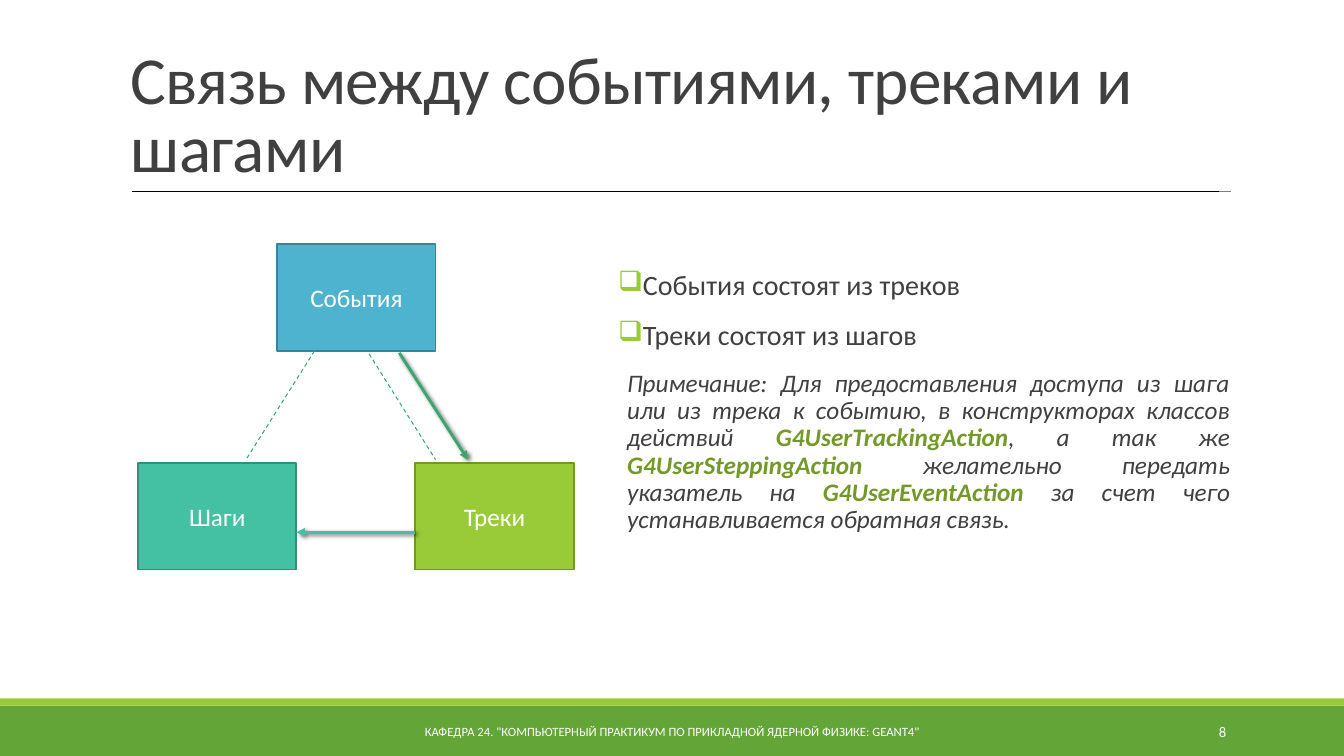
from lxml.etree import SubElement
from pptx import Presentation
from pptx.dml.color import RGBColor
from pptx.enum.dml import MSO_LINE
from pptx.enum.shapes import MSO_CONNECTOR, MSO_SHAPE
from pptx.enum.text import MSO_ANCHOR as Anchor, PP_ALIGN as Align
from pptx.oxml.ns import qn
from pptx.util import Inches, Pt

COLORS = {
    "white": "FFFFFF", "text": "404040", "black": "000000", "gray": "808080",
    "footer": "63A537", "lime": "99CB38", "lime_edge": "719629", "code": "739A28",
    "blue": "4EB3CF", "blue_edge": "3A8499",
    "teal": "44C1A3", "teal_edge": "328F79", "link": "37A76F",
}
FONT = "Calibri"

TITLE = "Связь между событиями, треками и шагами"
FOOTER = 'КАФЕДРА 24. "КОМПЬЮТЕРНЫЙ ПРАКТИКУМ ПО ПРИКЛАДНОЙ ЯДЕРНОЙ ФИЗИКЕ: GEANT4"'
PAGE_NUMBER = "8"
BULLETS = ["События состоят из треков", "Треки состоят из шагов"]
# (text, is a class name)
NOTE = [
    ("Примечание: Для предоставления доступа из шага или из трека к событию, "
     "в конструкторах классов действий ", False),
    ("G4UserTrackingAction", True),
    (", а так же ", False),
    ("G4UserSteppingAction", True),
    (" желательно передать указатель на ", False),
    ("G4UserEventAction ", True),
    ("за счет чего устанавливается обратная связь.", False),
]

# left, top, width, height, fill
BANDS = [(0, 7, 13.33, 0.5, "footer"), (0, 6.93, 13.33, 0.07, "lime")]
# start, end, color, width
RULES = [((1.31, 1.9), (12.21, 1.9), "gray", 0.5),
         ((1.31, 1.9), (12.09, 1.9), "black", 1)]
NODE_WIDTH, NODE_HEIGHT = 1.57, 1.06
# label, left, top, color
NODES = [("События", 2.75, 2.42, "blue"),
         ("Треки", 4.12, 4.59, "lime"),
         ("Шаги", 1.37, 4.59, "teal")]
# start, end, color
ARROWS = [((4.12, 5.28), (2.94, 5.28), "teal"),
          ((3.96, 3.5), (4.64, 4.56), "link")]
DASHES = [((3.12, 3.48), (2.44, 4.56), "link"),
          ((3.66, 3.51), (4.32, 4.56), "link")]


def rgb(name):
    return RGBColor.from_string(COLORS[name])


def style(font, size, color):
    font.name, font.size = FONT, Pt(size)
    font.color.rgb = rgb(color)


def add_rect(page, left, top, width, height, fill, edge=None):
    shape = page.shapes.add_shape(MSO_SHAPE.RECTANGLE, *map(Inches, (left, top, width, height)))
    shape.shadow.inherit = False
    shape.fill.solid()
    shape.fill.fore_color.rgb = rgb(fill)
    if edge:
        shape.line.color.rgb = rgb(edge)
        shape.line.width = Pt(1.25)
    else:
        shape.line.fill.background()
    return shape


def add_line(page, start, end, color, width, dashed=False, arrow=False):
    line = page.shapes.add_connector(MSO_CONNECTOR.STRAIGHT, *map(Inches, start + end))
    line.line.color.rgb = rgb(color)
    line.line.width = Pt(width)
    if dashed:
        line.line.dash_style = MSO_LINE.DASH
    properties = line._element.spPr
    effects = SubElement(properties, qn("a:effectLst"))
    if arrow:
        SubElement(properties.find(qn("a:ln")), qn("a:tailEnd"), type="triangle")
        shadow = SubElement(effects, qn("a:outerShdw"), blurRad=str(Pt(3)),
                            dist=str(Pt(2)), dir=str(45 * 60000), rotWithShape="0")
        shade = SubElement(shadow, qn("a:srgbClr"), val=COLORS["black"])
        SubElement(shade, qn("a:alpha"), val="60000")


def add_box(page, left, top, width, height, anchor):
    box = page.shapes.add_textbox(*map(Inches, (left, top, width, height)))
    box.text_frame.word_wrap = True
    box.text_frame.vertical_anchor = anchor
    return box.text_frame


def write(frame, text, size, color, align):
    para = frame.paragraphs[0]
    para.text, para.alignment = text, align
    style(para.font, size, color)
    return para


def space_body(para, margin, indent):
    para.line_spacing = 0.9
    para.space_before, para.space_after = Pt(12), Pt(2)
    properties = para._p.get_or_add_pPr()
    properties.set("marL", str(Inches(margin)))
    properties.set("indent", str(Inches(indent)))
    return properties


def main():
    deck = Presentation()
    deck.slide_width, deck.slide_height = Inches(13.33), Inches(7.5)
    page = deck.slides.add_slide(deck.slide_layouts[6])

    # Footer bands and title rule
    for band in BANDS:
        add_rect(page, *band)
    for rule in RULES:
        add_line(page, *rule)

    # Title
    title = write(add_box(page, 1.2, 0.31, 11, 1.59, Anchor.BOTTOM),
                  TITLE, 48, "text", Align.LEFT)
    title.line_spacing = 0.85
    title.runs[0]._r.get_or_add_rPr().set("spc", "-50")

    # Diagram
    for label, left, top, color in NODES:
        node = add_rect(page, left, top, NODE_WIDTH, NODE_HEIGHT, color, color + "_edge")
        node.text_frame.vertical_anchor = Anchor.MIDDLE
        write(node.text_frame, label, 18, "white", Align.CENTER)
    for arrow in ARROWS:
        add_line(page, *arrow, 2, arrow=True)
    for dash in DASHES:
        add_line(page, *dash, 0.75, dashed=True)

    # Bulleted statements and note
    body = add_box(page, 6.13, 2.64, 6.07, 3.67, Anchor.TOP)
    body.margin_left = body.margin_right = 0
    for index, statement in enumerate(BULLETS):
        para = body.add_paragraph() if index else body.paragraphs[0]
        para.text = statement
        properties = space_body(para, 0.1, -0.1)
        bullet_color = SubElement(properties, qn("a:buClr"))
        SubElement(bullet_color, qn("a:srgbClr"), val=COLORS["lime"])
        SubElement(properties, qn("a:buChar"), char="❑")
        style(para.font, 20, "text")
    note = body.add_paragraph()
    note.alignment = Align.JUSTIFY
    space_body(note, 0.09, 0)
    style(note.font, 18, "text")
    note.font.italic = True
    for text, is_class in NOTE:
        span = note.add_run()
        span.text = text
        if is_class:
            span.font.bold = True
            span.font.color.rgb = rgb("code")

    # Footer text and page number
    write(add_box(page, 4.03, 7.06, 5.27, 0.4, Anchor.MIDDLE),
          FOOTER, 9, "white", Align.CENTER)
    write(add_box(page, 10.83, 7.06, 1.43, 0.4, Anchor.MIDDLE),
          PAGE_NUMBER, 10.5, "white", Align.RIGHT)

    deck.save("out.pptx")


if __name__ == "__main__":
    main()
